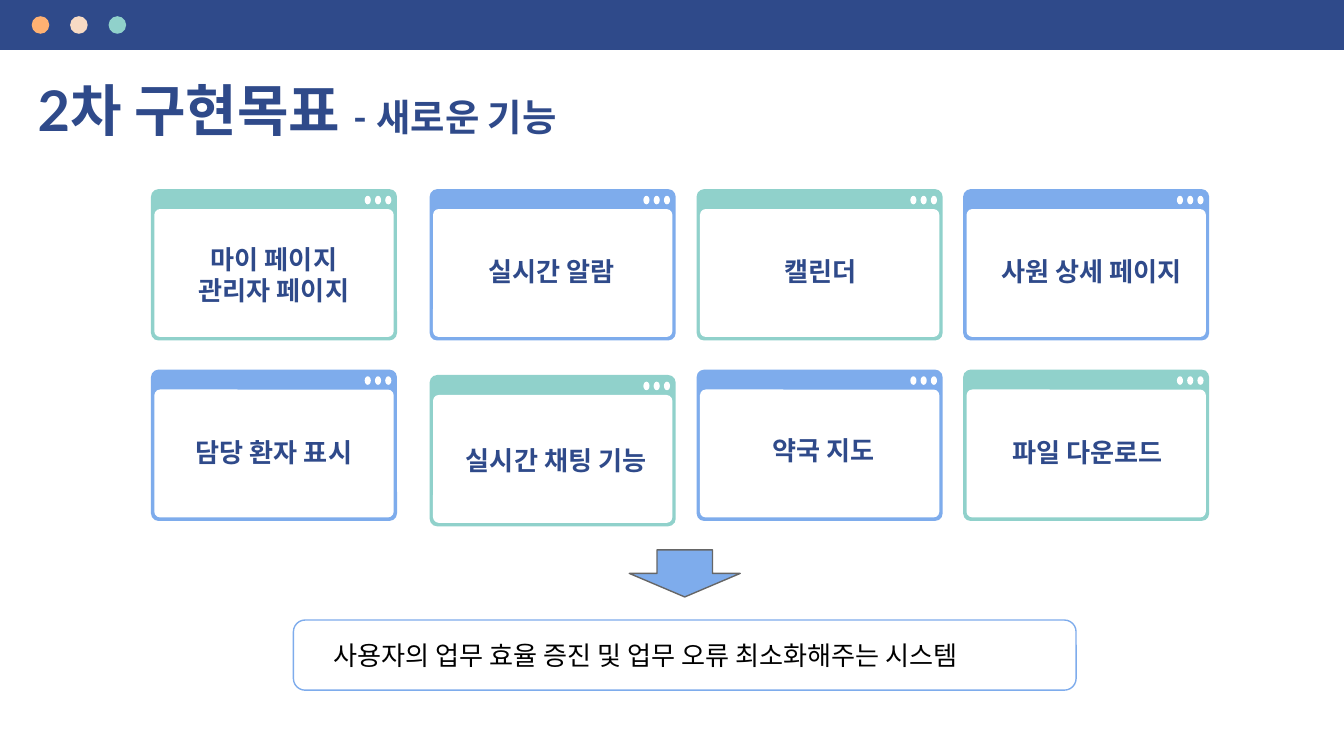
import typing

import pptx
import pptx.dml.color
import pptx.enum.shapes
import pptx.enum.text
import pptx.util

Pt = pptx.util.Pt
SHAPE = pptx.enum.shapes.MSO_SHAPE
ALIGN = pptx.enum.text.PP_ALIGN

COLORS = {
    "navy": "2F4A8A", "blue": "7EACEC", "teal": "90D1CB", "orange": "FFB172",
    "cream": "F8DBC4", "white": "FFFFFF", "gray": "666666", "black": "000000",
}
CARD_WIDTH, CARD_HEIGHT = 131.8, 81.1
COLUMNS = (80.9, 230.2, 373.2, 516)
ROWS = (101.3, 198)
NARROW = 117.4


class Feature(typing.NamedTuple):
    """A card's label, with the label box's centre shift, top and width."""
    lines: tuple
    shift: float = 0
    label_top: float = 28.3
    label_width: float = CARD_WIDTH
    drop: float = 0


FEATURES = (
    (
        Feature(("마이 페이지", "관리자 페이지"), label_top=21.8, label_width=NARROW),
        Feature(("실시간 알람",), shift=-0.4),
        Feature(("캘린더",), shift=0.4, label_width=NARROW),
        Feature(("사원 상세 페이지",), shift=2.9),
    ),
    (
        Feature(("담당 환자 표시",), label_top=28.8),
        Feature(("실시간 채팅 기능",), shift=1.9, label_top=30.2,
                label_width=128.2, drop=2.9),
        Feature(("약국 지도",), shift=1.9, label_top=27.4),
        Feature(("파일 다운로드",), shift=0.7, label_top=28.8, label_width=NARROW),
    ),
)


def rgb(name):
    return pptx.dml.color.RGBColor.from_string(COLORS[name])


def place(part, left, top, width, height):
    part.left, part.top = Pt(left), Pt(top)
    part.width, part.height = Pt(width), Pt(height)


def draw(shapes, kind, box, fill, line=None, adjustments=()):
    part = shapes.add_shape(kind, *map(Pt, box))
    part.shadow.inherit = False
    part.fill.solid()
    part.fill.fore_color.rgb = rgb(fill)
    if line:
        part.line.color.rgb = rgb(line)
        part.line.width = Pt(0.75)
    else:
        part.line.fill.background()
    for index, value in enumerate(adjustments):
        part.adjustments[index] = value


def prepare_frame(frame):
    frame.word_wrap = True
    frame.auto_size = pptx.enum.text.MSO_AUTO_SIZE.NONE
    frame.vertical_anchor = pptx.enum.text.MSO_ANCHOR.TOP
    frame.margin_left = frame.margin_right = Pt(7.2)
    frame.margin_top = frame.margin_bottom = Pt(7.2)


def write(paragraph, text, size=14, font="Lato", color="navy", bold=True,
          align=ALIGN.LEFT):
    paragraph.alignment = align
    paragraph.line_spacing = 1.0
    run = paragraph.add_run()
    run.text = text
    run.font.size = Pt(size)
    run.font.name = font
    run.font.bold = bold
    run.font.color.rgb = rgb(color)


def add_text(shapes, box, lines, **style):
    frame = shapes.add_textbox(*map(Pt, box)).text_frame
    prepare_frame(frame)
    for index, line in enumerate(lines):
        paragraph = frame.add_paragraph() if index else frame.paragraphs[0]
        write(paragraph, line, **style)


def add_top_bar(shapes, left, top, width, height):
    draw(shapes, SHAPE.RECTANGLE, (left, top, width, height), "navy")
    diameter = 9.4
    for index, color in enumerate(("orange", "cream", "teal")):
        dot = (left + 17 + 20.6 * index, top + (height - diameter) / 2,
               diameter, diameter)
        draw(shapes, SHAPE.OVAL, dot, color)


def add_heading(title, *box):
    place(title, *box)
    prepare_frame(title.text_frame)
    paragraph = title.text_frame.paragraphs[0]
    write(paragraph, "2차 구현목표 ", size=30)
    write(paragraph, "- 새로운 기능", size=20)


def add_card(shapes, left, top, width, height, feature, color):
    """Draw a browser window with the feature's label inside."""
    window = shapes.add_group_shape().shapes
    draw(window, SHAPE.ROUNDED_RECTANGLE, (left, top, width, height), color,
         adjustments=(0.05,))
    body = (left + 1.8, top + 10.7, width - 3.6, height - 12.6)
    draw(window, SHAPE.ROUNDED_RECTANGLE, body, "white", adjustments=(0.045,))
    for index in range(3):
        button = (left + width - 17.3 + 5.5 * index, top + 3.6, 3.3, 4.6)
        draw(window, SHAPE.OVAL, button, "white")
    label_left = left + (width - feature.label_width) / 2 + feature.shift
    label = (label_left, top + feature.label_top, feature.label_width, 37.2)
    add_text(shapes, label, feature.lines, align=ALIGN.CENTER)


def add_feature_grid(shapes):
    for row, (top, features) in enumerate(zip(ROWS, FEATURES)):
        for column, (left, feature) in enumerate(zip(COLUMNS, features)):
            color = ("teal", "blue")[(row + column) % 2]
            add_card(shapes, left, top + feature.drop, CARD_WIDTH, CARD_HEIGHT,
                     feature, color)


def add_conclusion(shapes, left, top, width, height):
    """Draw the arrow and, below it, the framed summary."""
    arrow = (left + width / 2 - 29.7, top, 59.4, 25.2)
    draw(shapes, SHAPE.DOWN_ARROW, arrow, "blue", "gray", (0.5, 0.5))
    frame_top = top + 37.6
    frame = (left, frame_top, width, height - 37.6)
    draw(shapes, SHAPE.ROUNDED_RECTANGLE, frame, "white", "blue", (0.167,))
    add_text(shapes, (left + 14.2, frame_top + 3.3, 391, 31.7),
             ("사용자의 업무 효율 증진 및 업무 오류 최소화해주는 시스템",),
             font="Montserrat", color="black", bold=False)


def main():
    deck = pptx.Presentation()
    deck.slide_width, deck.slide_height = Pt(720), Pt(405)
    slide = deck.slides.add_slide(deck.slide_layouts.get_by_name("Title Only"))
    add_top_bar(slide.shapes, 0, 0, 720, 26.8)
    add_heading(slide.shapes.title, 13, 33.2, 607.7, 36.7)
    add_feature_grid(slide.shapes)
    add_conclusion(slide.shapes, 157.2, 294.6, 419.3, 75.2)
    deck.save("out.pptx")


if __name__ == "__main__":
    main()
